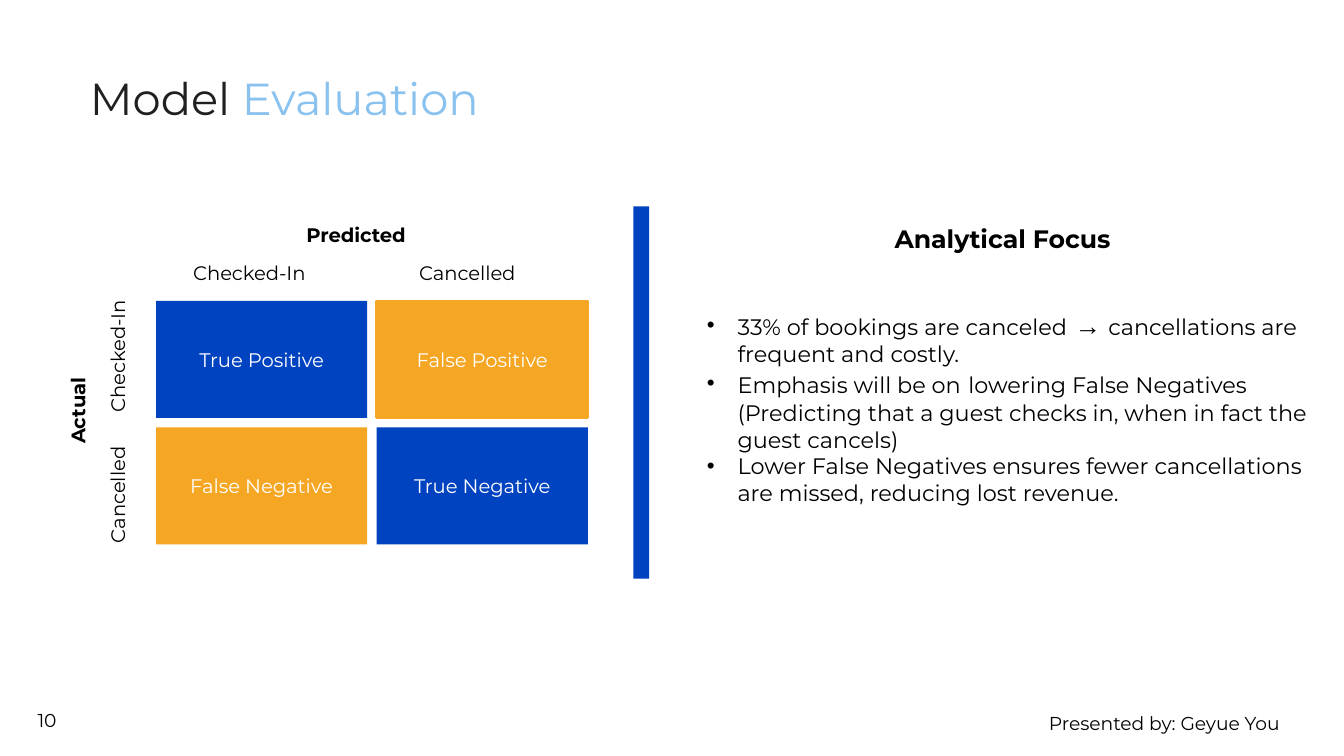
from dataclasses import dataclass

from lxml import etree
from pptx import Presentation
from pptx.dml.color import RGBColor
from pptx.enum.shapes import MSO_SHAPE
from pptx.enum.text import MSO_ANCHOR, PP_ALIGN
from pptx.oxml.ns import qn
from pptx.util import Cm, Pt

RECT = MSO_SHAPE.RECTANGLE
MIDDLE, TOP = MSO_ANCHOR.MIDDLE, MSO_ANCHOR.TOP
LEFT, CENTER, RIGHT = PP_ALIGN.LEFT, PP_ALIGN.CENTER, PP_ALIGN.RIGHT


@dataclass(frozen=True)
class Theme:
    font: str = "Montserrat"
    symbol_font: str = "Arial"
    black: RGBColor = RGBColor(0, 0, 0)
    white: RGBColor = RGBColor(255, 255, 255)
    ink: RGBColor = RGBColor(0x20, 0x20, 0x20)
    sky: RGBColor = RGBColor(0x8A, 0xC2, 0xEF)
    blue: RGBColor = RGBColor(0x00, 0x43, 0xC1)
    orange: RGBColor = RGBColor(0xF5, 0xA6, 0x23)
    title: float = 24
    heading: float = 13.5
    body: float = 12
    symbol: float = 14
    label: float = 10.5
    footer: float = 10


theme = Theme()
prs = Presentation()
prs.slide_width, prs.slide_height = Cm(25.4), Cm(14.29)
slide = prs.slides.add_slide(prs.slide_layouts[6])


def style(r, size, color=theme.black, bold=False, font=theme.font):
    r.font.name, r.font.size, r.font.bold = font, Pt(size), bold
    r.font.color.rgb = color


def add_text(text, box, size, bold=False, align=LEFT, anchor=TOP, vertical=False):
    tf = slide.shapes.add_textbox(*map(Cm, box)).text_frame
    tf.word_wrap = True
    tf.vertical_anchor = anchor
    if vertical:
        tf._txBody.bodyPr.set("vert", "vert270")
    tf.text = text
    p = tf.paragraphs[0]
    p.alignment = align
    style(p.runs[0], size, bold=bold)
    return tf


# Title
tf = add_text("Model\u00a0", (1.45, 1.09, 13.41, 2.87), theme.title)
tf.margin_left = tf.margin_right = tf.margin_top = tf.margin_bottom = Cm(0.25)
p = tf.paragraphs[0]
style(p.runs[0], theme.title, theme.ink)
r = p.add_run()
r.text = "Evaluation"
style(r, theme.title, theme.sky)

# Confusion matrix: blue on the diagonal, orange for errors
matrix = [["True Positive", "False Positive"], ["False Negative", "True Negative"]]
for row, names in enumerate(matrix):
    for col, name in enumerate(names):
        sp = slide.shapes.add_shape(
            RECT, Cm(2.95 + 4.17 * col), Cm(5.69 + 2.39 * row), Cm(3.99), Cm(2.21))
        sp.shadow.inherit = False
        color = theme.blue if row == col else theme.orange
        sp.fill.solid()
        sp.fill.fore_color.rgb = color
        if name == "False Positive":
            sp.line.color.rgb = color
            sp.line.width = Pt(1.5)
        else:
            sp.line.fill.background()
        tf = sp.text_frame
        tf.text = name
        tf.vertical_anchor = MIDDLE
        p = tf.paragraphs[0]
        p.alignment = CENTER
        style(p.runs[0], theme.label, theme.white)

# Matrix labels: text, box, bold, vertical
labels = [
    ("Predicted", (5.54, 4.09, 2.95, 0.71), True, False),
    ("Checked-In", (3.4, 4.8, 3.35, 0.71), False, False),
    ("Cancelled", (7.67, 4.8, 2.97, 0.71), False, False),
    ("Actual", (1.12, 5.82, 0.97, 2.82), True, True),
    ("Checked-In", (1.87, 4.24, 0.97, 3.81), False, True),
    ("Cancelled", (1.87, 7.95, 0.97, 2.57), False, True),
]
for text, box, bold, vertical in labels:
    add_text(text, box, theme.label, bold=bold, vertical=vertical)

# Divider
sp = slide.shapes.add_shape(RECT, Cm(11.97), Cm(3.9), Cm(0.3), Cm(7.04))
sp.shadow.inherit = False
sp.fill.solid()
sp.fill.fore_color.rgb = theme.blue
sp.line.fill.background()

# Analytical focus: heading and bullets
add_text("Analytical Focus", (16.66, 4.09, 5.18, 0.84), theme.heading, bold=True)

SYMBOLS = (" → ", " ")
bullets = [
    ["33% of bookings are canceled", " → ", "cancellations are frequent and costly."],
    ["Emphasis will be on", " ", "lowering\u00a0False Negatives", " ",
     "(Predicting that a guest checks in, when in fact the guest cancels)"],
    ["Lower False Negatives ensures fewer cancellations are missed, "
     "reducing lost revenue."],
]
tf = slide.shapes.add_textbox(Cm(13.11), Cm(5.72), Cm(12.29), Cm(4.6)).text_frame
tf.word_wrap = True
for i, parts in enumerate(bullets):
    p = tf.add_paragraph() if i else tf.paragraphs[0]
    pPr = p._p.get_or_add_pPr()
    pPr.set("marL", str(Cm(0.58)))
    pPr.set("indent", str(-Cm(0.58)))
    etree.SubElement(pPr, qn("a:buFont")).set("typeface", theme.symbol_font)
    etree.SubElement(pPr, qn("a:buChar")).set("char", "•")
    for part in parts:
        r = p.add_run()
        r.text = part
        if part in SYMBOLS:
            style(r, theme.symbol, font=theme.symbol_font)
        else:
            style(r, theme.body)

# Footer
add_text("Presented by: Geyue You", (17.5, 13.34, 6.93, 0.69), theme.footer, align=RIGHT)
add_text("10", (0.46, 13.23, 1.07, 0.76), theme.footer, anchor=MIDDLE)

prs.save("out.pptx")
